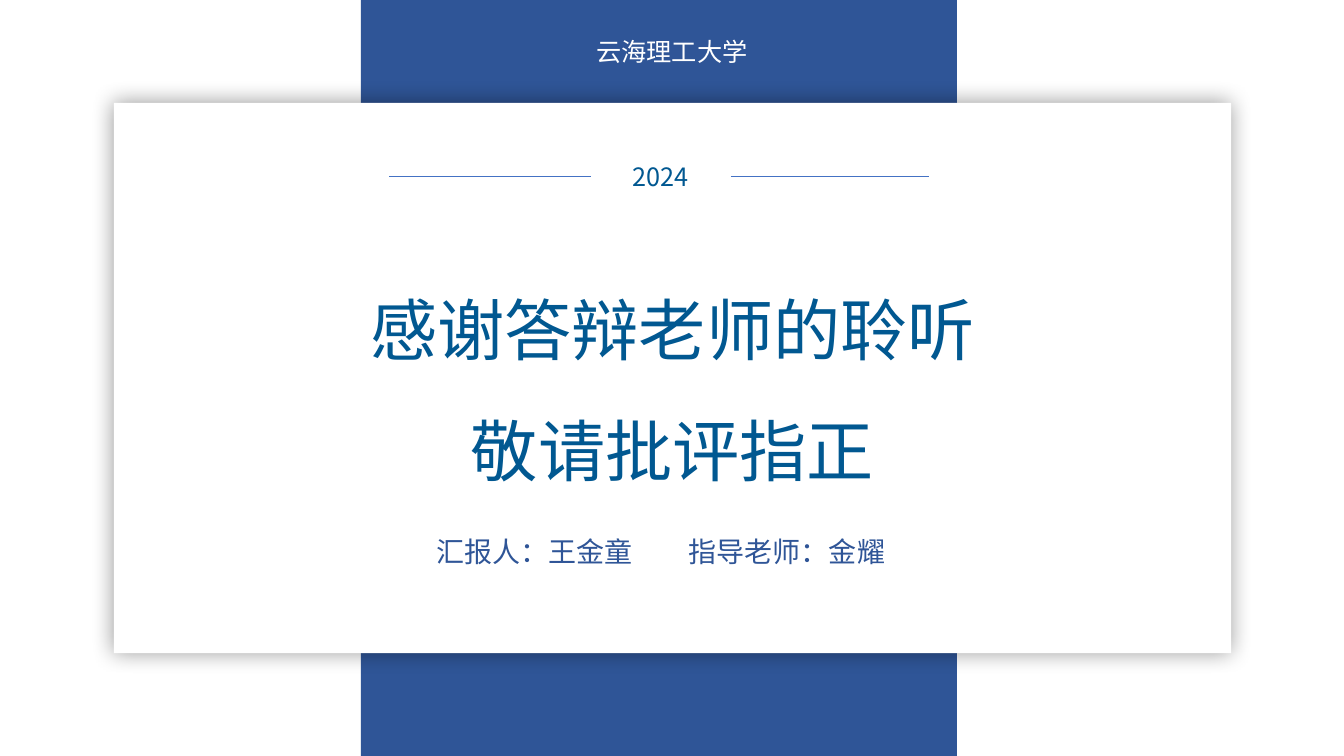
from dataclasses import dataclass

from lxml import etree
from pptx import Presentation
from pptx.dml.color import RGBColor
from pptx.enum.shapes import MSO_CONNECTOR, MSO_SHAPE
from pptx.enum.text import MSO_ANCHOR, PP_ALIGN
from pptx.oxml.ns import qn
from pptx.util import Inches, Pt

RECTANGLE = MSO_SHAPE.RECTANGLE
STRAIGHT = MSO_CONNECTOR.STRAIGHT
CENTER = PP_ALIGN.CENTER
TOP, MIDDLE = MSO_ANCHOR.TOP, MSO_ANCHOR.MIDDLE
LEFT_SIDE, RIGHT_SIDE = 1, 3


@dataclass(frozen=True)
class Theme:
    font: str = "Noto Sans CJK SC"
    band: str = "2F5597"
    title: str = "015891"
    rule: str = "4472C4"
    white: str = "FFFFFF"
    shadow: str = "000000"
    title_size: int = 48
    names_size: int = 20
    label_size: int = 18
    rule_width: float = 0.5


THEME = Theme()


def color(value):
    return RGBColor.from_string(value)


def add_rectangle(shapes, box, fill):
    shape = shapes.add_shape(RECTANGLE, *map(Inches, box))
    shape.shadow.inherit = False
    shape.fill.solid()
    shape.fill.fore_color.rgb = color(fill)
    shape.line.fill.background()
    return shape


def write_lines(shape, lines, size, text_color, anchor=TOP, spacing=1.0):
    frame = shape.text_frame
    frame.word_wrap = True
    frame.vertical_anchor = anchor
    frame.text = "\n".join(lines)
    for paragraph in frame.paragraphs:
        paragraph.alignment = CENTER
        paragraph.line_spacing = spacing
        paragraph.font.size = Pt(size)
        paragraph.font.color.rgb = color(text_color)
        paragraph.font.name = THEME.font
        # The East Asian typeface follows the Latin one
        defaults = paragraph._p.pPr.find(qn("a:defRPr"))
        etree.SubElement(defaults, qn("a:ea"), typeface=THEME.font)


def add_halo(shape, blur, opacity):
    """Soft shadow spreading evenly around the shape."""
    effects = shape._element.spPr.find(qn("a:effectLst"))
    shadow = etree.SubElement(effects, qn("a:outerShdw"), blurRad=str(Inches(blur)),
                              dist="0", algn="ctr", rotWithShape="0")
    shade = etree.SubElement(shadow, qn("a:srgbClr"), val=THEME.shadow)
    etree.SubElement(shade, qn("a:alpha"), val=str(opacity * 1000))


def add_band(slide, box, school):
    left, top, width, height = box
    add_rectangle(slide.shapes, box, THEME.band)
    label = slide.shapes.add_textbox(Inches(left - 0.25), Inches(top + 0.31),
                                     Inches(6.67), Inches(0.4))
    write_lines(label, [school], THEME.label_size, THEME.white)


def add_rule(shapes, start, end, y):
    rule = shapes.add_connector(STRAIGHT, Inches(start), Inches(y), Inches(end), Inches(y))
    rule.line.color.rgb = color(THEME.rule)
    rule.line.width = Pt(THEME.rule_width)
    etree.SubElement(rule._element.spPr, qn("a:effectLst"))
    return rule


def add_year(slide, box, year):
    """Year flanked by two thin rules."""
    left, top, width, height = box
    year_width = 1.39
    year_left = left + 2
    year_right = year_left + year_width
    middle = top + height / 2
    shapes = slide.shapes.add_group_shape().shapes
    year_box = add_rectangle(shapes, (year_left, top, year_width, height), THEME.white)
    write_lines(year_box, [year], THEME.label_size, THEME.title, MIDDLE)
    left_rule = add_rule(shapes, left, year_left, middle)
    left_rule.end_connect(year_box, LEFT_SIDE)
    right_rule = add_rule(shapes, year_right, left + width, middle)
    right_rule.begin_connect(year_box, RIGHT_SIDE)


def add_card(slide, box, year, title, names):
    left, top, width, height = box
    card = add_rectangle(slide.shapes, box, THEME.white)
    add_halo(card, blur=0.22, opacity=40)

    title_box = add_rectangle(slide.shapes, (left + 0.58, top + 1.39, 9.92, 2.34), THEME.white)
    write_lines(title_box, title, THEME.title_size, THEME.title, spacing=1.5)

    names_box = slide.shapes.add_textbox(Inches(left + 2.32), Inches(top + 4.23),
                                         Inches(6.21), Inches(0.44))
    write_lines(names_box, ["\t\t".join(names)], THEME.names_size, THEME.band)

    add_year(slide, (left + 2.73, top + 0.53, 5.35, 0.39), year)


def main():
    presentation = Presentation()
    presentation.slide_width = Inches(13.33)
    presentation.slide_height = Inches(7.5)
    slide = presentation.slides.add_slide(presentation.slide_layouts[6])

    add_band(slide, (3.58, 0, 5.91, 7.5), "云海理工大学")
    add_card(slide, (1.13, 1.02, 11.08, 5.46), "2024",
             ["感谢答辩老师的聆听", "敬请批评指正"],
             ["汇报人：王金童", "指导老师：金耀"])
    presentation.save("out.pptx")


if __name__ == "__main__":
    main()
